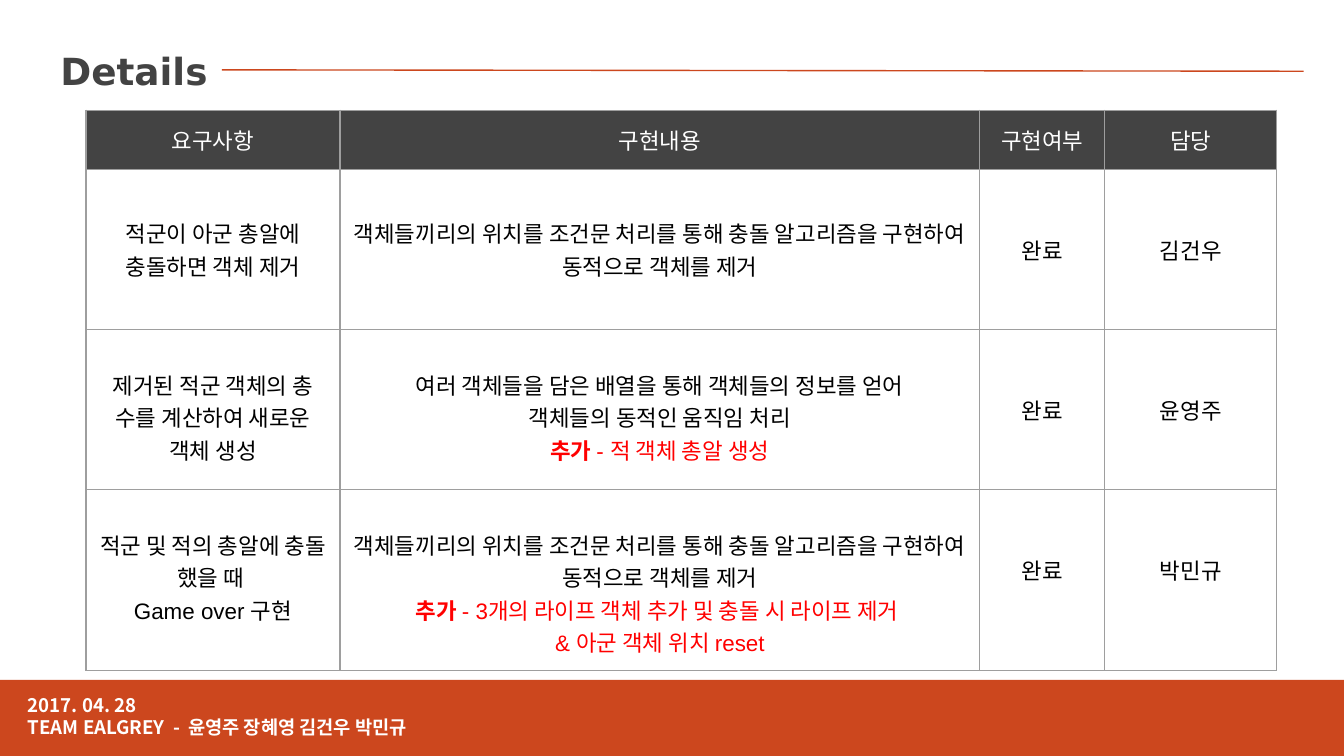
from lxml import etree
from pptx import Presentation
from pptx.dml.color import RGBColor
from pptx.enum.shapes import MSO_CONNECTOR, MSO_SHAPE
from pptx.enum.text import MSO_ANCHOR, PP_ALIGN
from pptx.oxml.ns import qn
from pptx.util import Inches, Pt

ORANGE, DARK, WHITE, RED = "CC471E", "434343", "FFFFFF", "FF0000"
KOREAN = "Noto Sans CJK KR"


def rgb(value):
    return RGBColor.from_string(value)


def style(r, size, font, color, bold=False):
    r.font.size, r.font.name, r.font.bold = Pt(size), font, bold
    r.font.color.rgb = rgb(color)
    etree.SubElement(r.font._element, qn("a:ea"), typeface=KOREAN)


prs = Presentation()
prs.slide_width, prs.slide_height = Inches(10), Inches(10) * 9 // 16
s = prs.slides.add_slide(prs.slide_layouts[6])

# Footer band
band = s.shapes.add_shape(MSO_SHAPE.RECTANGLE, Inches(0), Inches(5.06), Inches(10), Inches(0.57))
band.shadow.inherit = False
band.fill.solid()
band.fill.fore_color.rgb = rgb(ORANGE)
band.line.fill.background()

# Title and footer text
texts = [
    ((0.35, 0.26, 2.48, 0.54), "Details", 20, "DejaVu Sans", DARK),
    ((0.11, 5.06, 6.54, 0.76), "2017. 04. 28\nTEAM EALGREY  -  윤영주 장혜영 김건우 박민규",
     10, KOREAN, WHITE),
]
for box, text, size, font, color in texts:
    tf = s.shapes.add_textbox(*map(Inches, box)).text_frame
    tf.word_wrap = True
    tf.margin_left = tf.margin_right = tf.margin_top = tf.margin_bottom = Inches(0.1)
    tf.text = text
    for p in tf.paragraphs:
        style(p.runs[0], size, font, color, bold=True)

# Title rule
rule = s.shapes.add_connector(MSO_CONNECTOR.STRAIGHT, Inches(1.65), Inches(0.52), Inches(9.7), Inches(0.53))
rule.line.color.rgb = rgb(ORANGE)
rule.line.width = Pt(0.75)
etree.SubElement(rule._element.spPr, qn("a:effectLst"))

# Table content: paragraphs split by newline, "추가" opens a red note
NOTE = "추가"
COLLISION = "객체들끼리의 위치를 조건문 처리를 통해 충돌 알고리즘을 구현하여 동적으로 객체를 제거"
rows = [
    ["요구사항", "구현내용", "구현여부", "담당"],
    ["적군이 아군 총알에 충돌하면 객체 제거", COLLISION, "완료", "김건우"],
    ["제거된 적군 객체의 총 수를 계산하여 새로운 객체 생성",
     "여러 객체들을 담은 배열을 통해 객체들의 정보를 얻어\n객체들의 동적인 움직임 처리\n"
     "추가 - 적 객체 총알 생성", "완료", "윤영주"],
    ["적군 및 적의 총알에 충돌 했을 때 \nGame over 구현",
     COLLISION + "\n추가 - 3개의 라이프 객체 추가 및 충돌 시 라이프 제거 \n& 아군 객체 위치 reset",
     "완료", "박민규"],
]
widths = [1.89, 4.76, 0.93, 1.28]
heights = [0.44, 1.19, 1.19, 1.35]

frame = s.shapes.add_table(4, 4, Inches(0.64), Inches(0.82), Inches(sum(widths)), Inches(sum(heights)))
table = frame.table
for column, width in zip(table.columns, widths):
    column.width = Inches(width)
for row, height in zip(table.rows, heights):
    row.height = Inches(height)

for i, row in enumerate(rows):
    for j, text in enumerate(row):
        cell = table.cell(i, j)
        cell.margin_left = cell.margin_right = cell.margin_top = cell.margin_bottom = Inches(0.1)
        if i == 1 and j < 2:
            cell.vertical_anchor = MSO_ANCHOR.MIDDLE
        elif i > 0:
            cell.margin_top = Inches(0.29 if j < 2 else 0.48)

        # Borders come before the fill in the cell properties
        tcPr = cell._tc.get_or_add_tcPr()
        for side in ("lnL", "lnR", "lnT", "lnB"):
            ln = etree.SubElement(tcPr, qn(f"a:{side}"), w=str(Pt(0.75)))
            fill = etree.SubElement(ln, qn("a:solidFill"))
            etree.SubElement(fill, qn("a:srgbClr"), val="9E9E9E")
        if i == 0:
            cell.fill.solid()
            cell.fill.fore_color.rgb = rgb(DARK)
        else:
            cell.fill.background()

        # Text, red from the note onwards
        color = "000000" if i else WHITE
        tf = cell.text_frame
        tf.text = text
        for p in tf.paragraphs:
            p.alignment = PP_ALIGN.CENTER
            if p.text.startswith(NOTE):
                color = RED
                rest = p.text[len(NOTE):]
                p.text = NOTE
                p.add_run().text = rest
            for r in p.runs:
                style(r, 12, "Arial", color, bold=r.text == NOTE)

prs.save("out.pptx")
